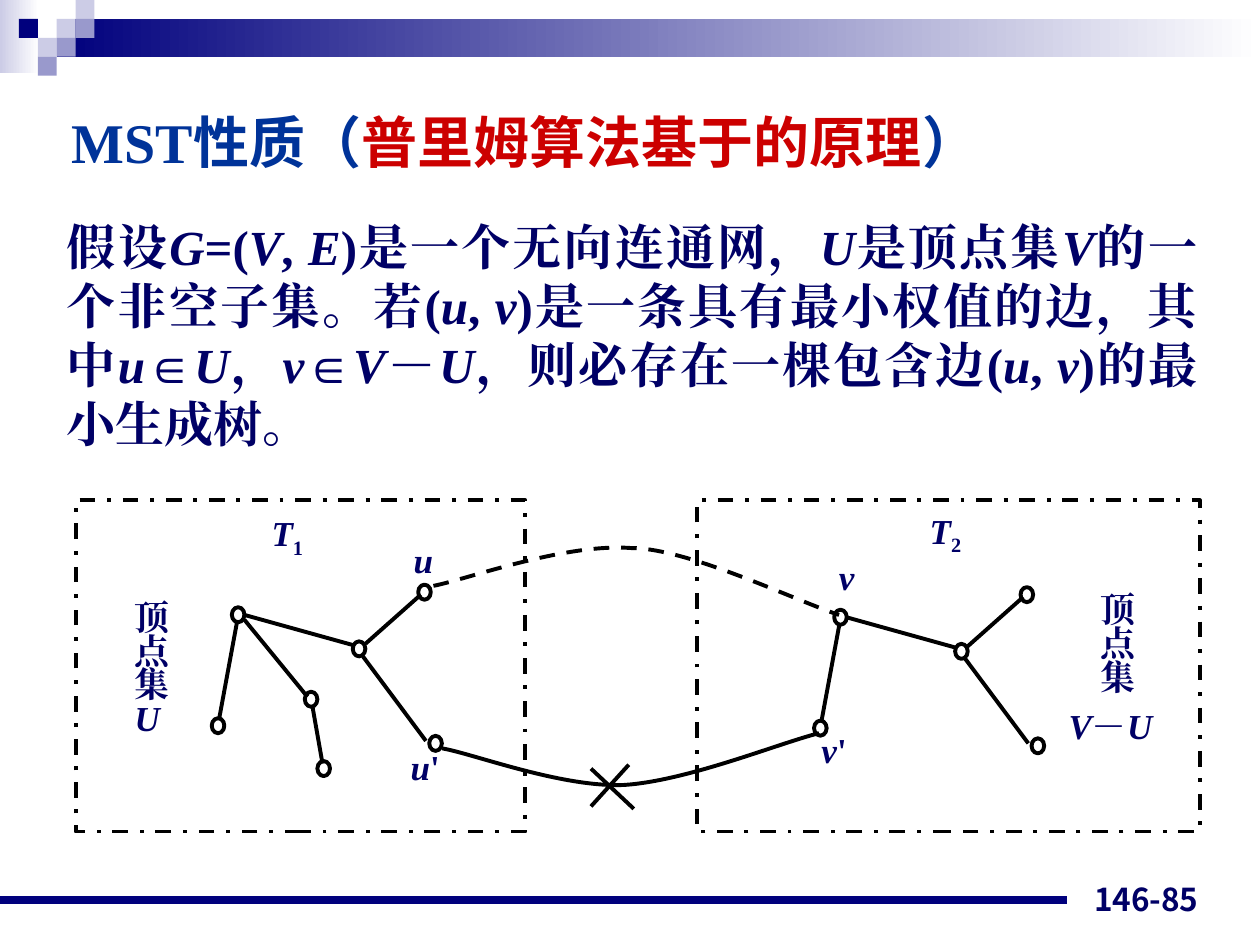
from lxml import etree
from pptx import Presentation
from pptx.dml.color import RGBColor
from pptx.enum.dml import MSO_LINE
from pptx.enum.shapes import MSO_CONNECTOR, MSO_SHAPE
from pptx.enum.text import MSO_ANCHOR, MSO_AUTO_SIZE, PP_ALIGN
from pptx.oxml.ns import qn
from pptx.util import Pt

NAVY = RGBColor(0x00, 0x00, 0x7D)
LAVENDER = RGBColor(0xCC, 0xCC, 0xE6)
VIOLET = RGBColor(0x99, 0x99, 0xCC)
WHITE = RGBColor(0xFF, 0xFF, 0xFF)
BLACK = RGBColor(0x00, 0x00, 0x00)
TEXT_BLUE = RGBColor(0x00, 0x00, 0x66)
TITLE_BLUE = RGBColor(0x00, 0x33, 0x99)
RED = RGBColor(0xCC, 0x00, 0x00)
SERIF = "Times New Roman"
SANS = "Noto Sans CJK JP"
SANS_SC = "Noto Sans CJK SC"

deck = Presentation()
deck.slide_width, deck.slide_height = Pt(720), Pt(540)
slide = deck.slides.add_slide(deck.slide_layouts[1])
shapes = slide.shapes


def write(box, text, size=20, font=SERIF, east_font=SERIF, color=TEXT_BLUE, accent=None,
          subscript=None, align=PP_ALIGN.CENTER, spacing=1.0, anchor=MSO_ANCHOR.TOP, insets=(0, 0)):
    frame = box.text_frame
    frame.word_wrap = True
    frame.auto_size = MSO_AUTO_SIZE.NONE
    frame.vertical_anchor = anchor
    frame.margin_left = frame.margin_right = Pt(insets[0])
    frame.margin_top = frame.margin_bottom = Pt(insets[1])
    paragraph = frame.paragraphs[0]
    paragraph.alignment = align
    paragraph.line_spacing = spacing
    paragraph.space_before = Pt(0)
    for index, part in enumerate(text.split("*")):
        if not part:
            continue
        marked = index % 2 == 1
        run = paragraph.add_run()
        run.text = part
        run.font.size, run.font.name, run.font.bold = Pt(size), font, True
        run.font.italic = marked and accent is None
        run.font.color.rgb = accent if marked and accent else color
        if part == subscript:
            run.font._element.set("baseline", "-25000")
        east = SANS if marked and accent else east_font
        etree.SubElement(run.font._element, qn("a:ea")).set("typeface", east)
    return paragraph


def add_line(x1, y1, x2, y2, color=BLACK, width=2.25):
    line = shapes.add_connector(MSO_CONNECTOR.STRAIGHT, Pt(x1), Pt(y1), Pt(x2), Pt(y2))
    line.line.color.rgb = color
    line.line.width = Pt(width)
    etree.SubElement(line._element.spPr, qn("a:effectLst"))


for x, y, width, height, start_color in [(0, 0, 22.3, 41.8, LAVENDER), (32.4, 10.8, 687.6, 21.6, NAVY)]:
    band = shapes.add_shape(MSO_SHAPE.RECTANGLE, Pt(x), Pt(y), Pt(width), Pt(height))
    band.shadow.inherit = False
    band.line.fill.background()
    band.fill.gradient()
    band.fill.gradient_angle = 0
    for stop, color in zip(band.fill.gradient_stops, (start_color, WHITE)):
        stop.color.rgb = color

TILE = 10.8
for column, row, color in [(3, 1, LAVENDER), (4, 0, LAVENDER), (4, 1, VIOLET), (2, 2, LAVENDER),
                           (1, 1, NAVY), (3, 2, VIOLET), (2, 3, VIOLET)]:
    tile = shapes.add_shape(MSO_SHAPE.RECTANGLE, Pt(column * TILE), Pt(row * TILE), Pt(TILE), Pt(TILE))
    tile.shadow.inherit = False
    tile.line.fill.background()
    tile.fill.solid()
    tile.fill.fore_color.rgb = color

add_line(0, 514.1, 609.8, 514.1, NAVY, 4.5)

title = shapes.title
title.left, title.top, title.width, title.height = Pt(33.8), Pt(57.6), Pt(577.4), Pt(46.1)
write(title, "MST性质（*普里姆算法基于的原理*）", size=32, east_font=SANS_SC, color=TITLE_BLUE,
      accent=RED, align=PP_ALIGN.LEFT, anchor=MSO_ANCHOR.MIDDLE, insets=(7.2, 3.6))

theorem = slide.placeholders[1]
theorem.left, theorem.top, theorem.width, theorem.height = Pt(31), Pt(120.2), Pt(660.2), Pt(141.8)
statement = write(
    theorem,
    "假设*G*=(*V*, *E*)是一个无向连通网，*U*是顶点集*V*的一个非空子集。若(*u*, *v*)是一条具有最小权值的边，"
    "其中*u*∈*U*，*v*∈*V*－*U*，则必存在一棵包含边(*u*, *v*)的最小生成树。",
    size=28, align=PP_ALIGN.JUSTIFY, insets=(7.2, 3.6))
statement_format = statement._p.get_or_add_pPr()
statement_format.set("marL", "0")
statement_format.set("indent", "0")
etree.SubElement(statement_format, qn("a:buNone"))

page_number = shapes.add_textbox(Pt(524.2), Pt(491.8), Pt(167.8), Pt(36))
write(page_number, "146-85", size=18, font=SANS, east_font=SANS, align=PP_ALIGN.RIGHT,
      anchor=MSO_ANCHOR.BOTTOM, insets=(7.2, 3.6))

outlines = []
for x, width in [(398.2, 287.3), (43.2, 257)]:
    vertex_set = shapes.add_shape(MSO_SHAPE.RECTANGLE, Pt(x), Pt(285.8), Pt(width), Pt(189.4))
    outlines.append((vertex_set, MSO_LINE.DASH_DOT))

rejected_edge = [(252.7, 427.7), (270, 430.6), (320.4, 450), (356.4, 448.6),
                 (392.4, 446.4), (445, 424.8), (468, 419)]
minimum_edge = [(247.7, 334.8), (266.4, 331.2), (322.6, 310.3), (360.7, 313.2),
                (393.1, 313.2), (455, 343.4), (479.5, 351.4)]
for points, dash in [(rejected_edge, None), (minimum_edge, MSO_LINE.DASH)]:
    corners = [(Pt(x), Pt(y)) for x, y in points]
    builder = shapes.build_freeform(*corners[0])
    builder.add_line_segments(corners[1:], close=False)
    curve = builder.convert_to_shape()
    segments = curve._element.findall(".//" + qn("a:lnTo"))
    for first in (0, 3):
        bezier = etree.SubElement(segments[0].getparent(), qn("a:cubicBezTo"))
        for segment in segments[first:first + 3]:
            bezier.append(segment[0])
    for segment in segments:
        segment.getparent().remove(segment)
    outlines.append((curve, dash))

tree_nodes = [(239, 334.1), (245.3, 420.5), (201.6, 366.5), (121, 410.4), (132.5, 347)]
tree_edges = [(240.5, 339.8, 208.8, 367.9), (207.4, 375.1, 243.4, 423.4),
              (139.7, 351.4, 201.6, 368.6), (135.4, 355.7, 125.3, 410.4)]
branch_nodes = [(174.2, 395.3), (181.4, 434.9)]
branch_edges = [(139.7, 354.2, 175.7, 398.2), (178.6, 403.9, 184.3, 436.3)]
for dx, dy, nodes, edges in [(0, 0, tree_nodes + branch_nodes, tree_edges + branch_edges),
                             (344.2, 1.4, tree_nodes, tree_edges)]:
    for x1, y1, x2, y2 in edges:
        add_line(x1 + dx, y1 + dy, x2 + dx, y2 + dy)
    for x, y in nodes:
        node = shapes.add_shape(MSO_SHAPE.OVAL, Pt(x + dx), Pt(y + dy), Pt(7.2), Pt(8.6))
        outlines.append((node, None))

for outline, dash in outlines:
    outline.shadow.inherit = False
    outline.fill.background()
    outline.line.color.rgb = BLACK
    outline.line.width = Pt(2.25)
    if dash:
        outline.line.dash_style = dash

add_line(337.7, 439.2, 362.2, 462.2)
add_line(359.3, 437, 337.7, 460.8)

JUSTIFY, CENTER = PP_ALIGN.JUSTIFY, PP_ALIGN.CENTER
for text, x, y, width, height, spacing, align, inset, subscript in [
    ("顶点集*U*", 77, 344.2, 24.5, 78.5, 0.8, JUSTIFY, 0.7, None),
    ("*V*－*U*", 610.6, 403.9, 76.3, 24.5, 0.94, JUSTIFY, 0.7, None),
    ("顶点集", 628.6, 340.6, 20.2, 60.5, 0.8, JUSTIFY, 0, None),
    ("*u*'", 232.6, 435.6, 20.9, 15.1, 0.54, CENTER, 0, None),
    ("*v*", 473, 325.4, 21.6, 16.6, 0.62, CENTER, 0, None),
    ("*v*'", 464.4, 422.6, 24.5, 18, 0.72, CENTER, 0, None),
    ("*u*", 231.8, 313.9, 20.2, 18, 0.72, CENTER, 0, None),
    ("*T*1", 143.3, 298.8, 41.8, 18, 0.62, CENTER, 0, "1"),
    ("*T*2", 519.8, 297.4, 41, 18, 0.62, CENTER, 0, "2"),
]:
    label = shapes.add_textbox(Pt(x), Pt(y), Pt(width), Pt(height))
    write(label, text, spacing=spacing, align=align, insets=(0, inset), subscript=subscript)

deck.save("out.pptx")
